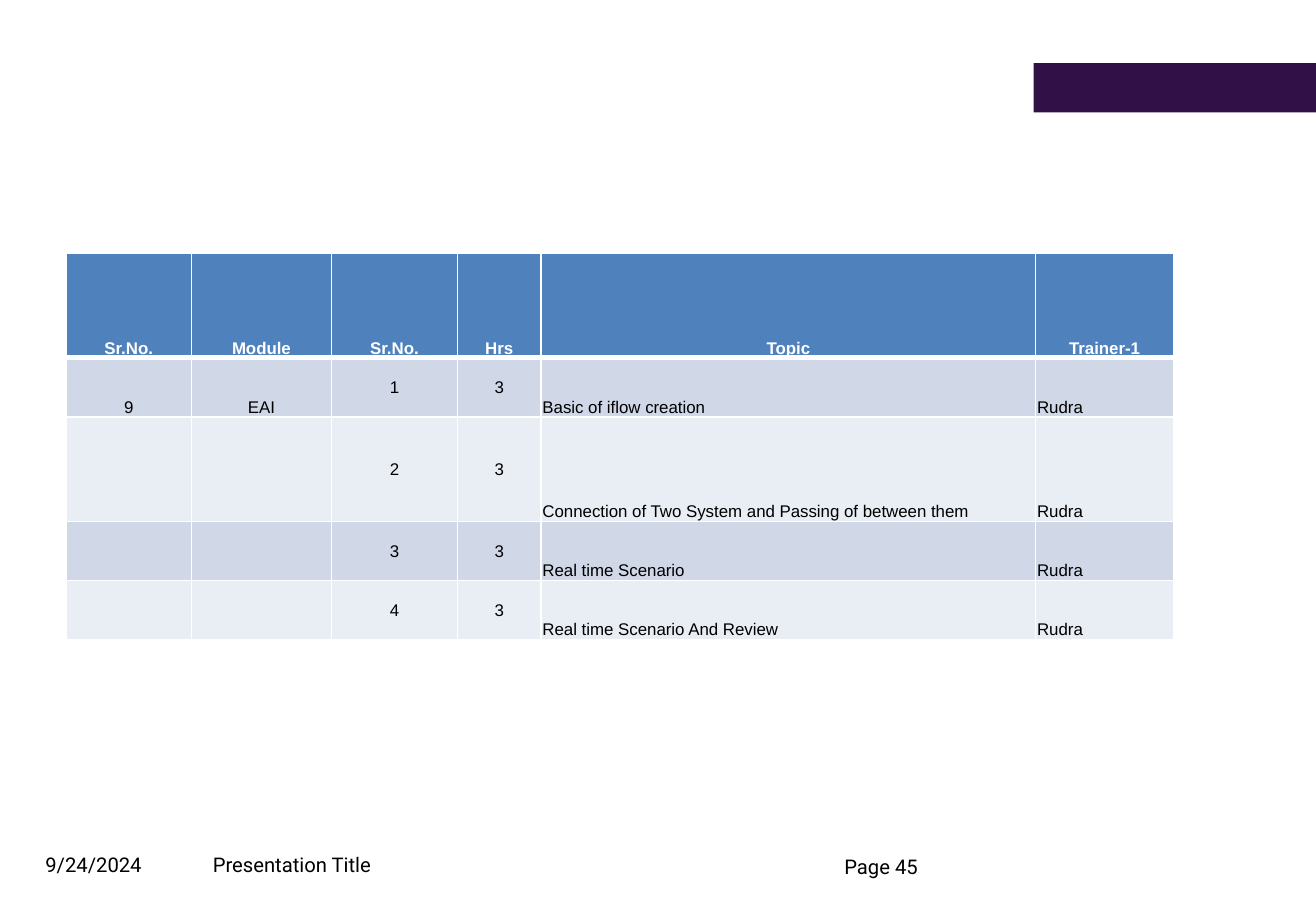
from lxml import etree
from pptx import Presentation
from pptx.dml.color import RGBColor
from pptx.enum.shapes import MSO_SHAPE
from pptx.enum.text import MSO_ANCHOR, PP_ALIGN
from pptx.oxml.ns import qn
from pptx.util import Cm, Pt

RECTANGLE = MSO_SHAPE.RECTANGLE
TOP, MIDDLE, BOTTOM = MSO_ANCHOR.TOP, MSO_ANCHOR.MIDDLE, MSO_ANCHOR.BOTTOM
LEFT, CENTER = PP_ALIGN.LEFT, PP_ALIGN.CENTER

COLORS = {
    "accent": "301047",
    "header": "4F81BD",
    "band_dark": "D0D8E8",
    "band_light": "E9EDF4",
    "white": "FFFFFF",
    "black": "000000",
}

COLUMN_WIDTHS = [2.62, 2.93, 2.63, 1.75, 10.34, 2.88]
ROW_HEIGHTS = [2.19, 1.24, 2.18, 1.24, 1.23]
COLUMN_ALIGNS = [CENTER, CENTER, CENTER, CENTER, LEFT, LEFT]
COLUMN_ANCHORS = [BOTTOM, BOTTOM, MIDDLE, MIDDLE, BOTTOM, BOTTOM]
SCHEDULE = [
    ["Sr.No.", "Module", "Sr.No.", "Hrs", "Topic", "Trainer-1"],
    ["9", "EAI", "1", "3", "Basic of iflow creation", "Rudra"],
    ["", "", "2", "3", "Connection of Two System and Passing of between them", "Rudra"],
    ["", "", "3", "3", "Real time Scenario", "Rudra"],
    ["", "", "4", "3", "Real time Scenario And Review", "Rudra"],
]


def rgb(name):
    return RGBColor.from_string(COLORS[name])


def add_span(para, text, font, size, color, bold=False):
    span = para.add_run()
    span.text = text
    span.font.name = font
    span.font.size = Pt(size)
    span.font.bold = bold
    span.font.color.rgb = rgb(color)


def set_borders(cell, top, bottom):
    """Give the cell white edges; top and bottom are widths in points."""
    properties = cell._tc.get_or_add_tcPr()
    edges = {"a:lnL": 1, "a:lnR": 1, "a:lnT": top, "a:lnB": bottom}
    for index, (tag, width) in enumerate(edges.items()):
        line = etree.Element(qn(tag), w=str(Pt(width)))
        fill = etree.SubElement(line, qn("a:solidFill"))
        etree.SubElement(fill, qn("a:srgbClr"), val=COLORS["white"])
        properties.insert(index, line)


def fill_cell(cell, text, row, column):
    is_header = row == 0
    band = "band_dark" if row % 2 else "band_light"
    cell.fill.solid()
    cell.fill.fore_color.rgb = rgb("header" if is_header else band)
    set_borders(cell, top=3 if row == 1 else 1, bottom=3 if is_header else 1)
    cell.margin_left = cell.margin_right = cell.margin_top = Cm(0.03)
    cell.margin_bottom = 0
    cell.vertical_anchor = BOTTOM if is_header else COLUMN_ANCHORS[column]
    if text:
        para = cell.text_frame.paragraphs[0]
        para.alignment = CENTER if is_header else COLUMN_ALIGNS[column]
        add_span(para, text, "Arial", 10, "white" if is_header else "black", is_header)


def add_schedule(page, left, top):
    frame = page.shapes.add_table(
        len(SCHEDULE), len(COLUMN_WIDTHS), Cm(left), Cm(top),
        Cm(sum(COLUMN_WIDTHS)), Cm(sum(ROW_HEIGHTS)))
    table = frame.table
    table.first_row = table.horz_banding = False
    for column, width in zip(table.columns, COLUMN_WIDTHS):
        column.width = Cm(width)
    for row, height in zip(table.rows, ROW_HEIGHTS):
        row.height = Cm(height)
    for row, texts in enumerate(SCHEDULE):
        for column, text in enumerate(texts):
            fill_cell(table.cell(row, column), text, row, column)


def add_accent_bar(page, left, top, width, height):
    bar = page.shapes.add_shape(RECTANGLE, Cm(left), Cm(top), Cm(width), Cm(height))
    bar.shadow.inherit = False
    bar.fill.solid()
    bar.fill.fore_color.rgb = rgb("accent")
    bar.line.fill.background()


def add_footer_text(page, text, left, top, width, height, anchor):
    box = page.shapes.add_textbox(Cm(left), Cm(top), Cm(width), Cm(height))
    frame = box.text_frame
    frame.word_wrap = True
    frame.vertical_anchor = anchor
    frame.margin_left = frame.margin_right = 0
    frame.margin_top = frame.margin_bottom = 0
    para = frame.paragraphs[0]
    para.line_spacing = 0.9
    add_span(para, text, "Roboto", 12, "black")


def add_footer(page, left, top):
    add_footer_text(page, "9/24/2024", left, top, 4.01, 0.79, BOTTOM)
    add_footer_text(page, "Page 45", left + 16.7, top + 0.38, 3.53, 0.43, TOP)
    add_footer_text(page, "Presentation Title", left + 3.5, top, 4.95, 0.79, BOTTOM)


def main():
    deck = Presentation()
    deck.slide_width, deck.slide_height = Cm(27.51), Cm(19.05)
    page = deck.slides.add_slide(deck.slide_layouts[6])
    add_footer(page, 0.95, 17.54)
    add_accent_bar(page, 21.61, 1.32, 5.9, 1.03)
    add_schedule(page, 1.38, 5.29)
    deck.save("out.pptx")


if __name__ == "__main__":
    main()
